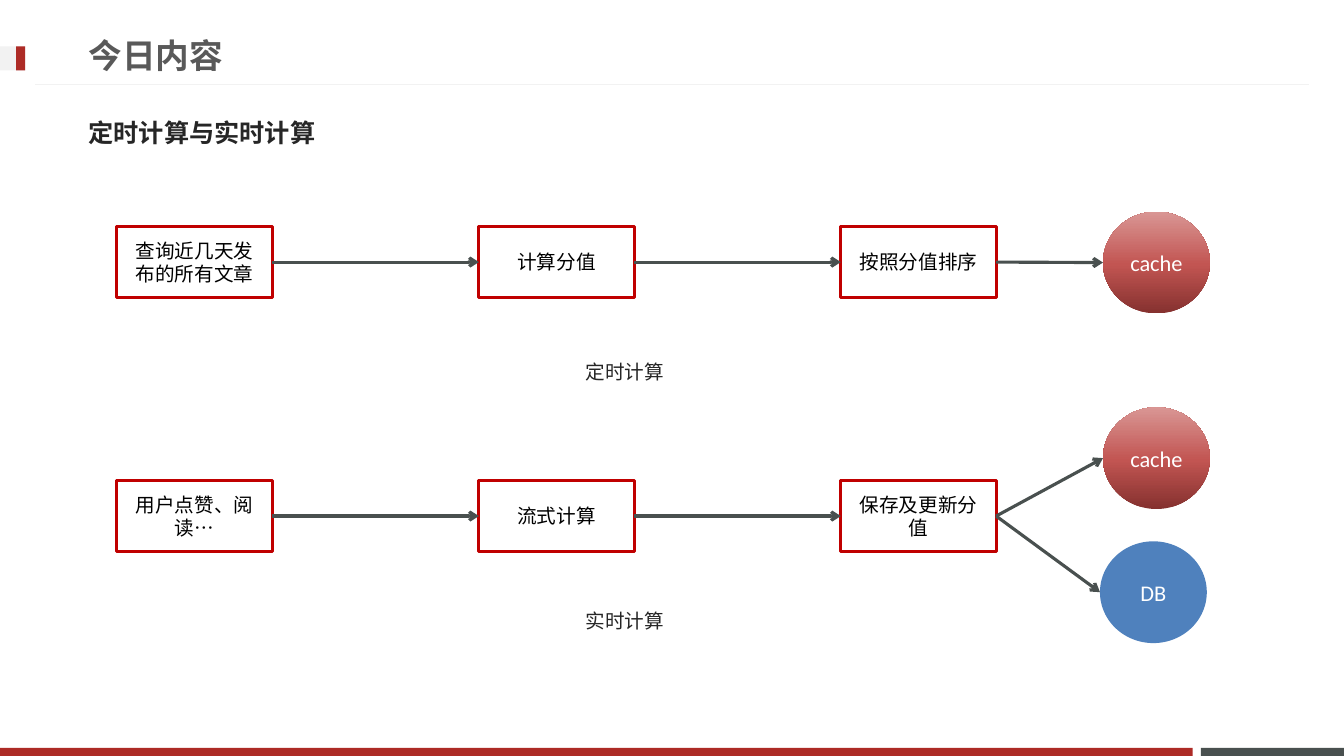
import pptx
import pptx.dml.color
import pptx.enum.shapes
import pptx.enum.text
import pptx.oxml
import pptx.oxml.ns
import pptx.util
from pptx.util import Inches

SHAPES = pptx.enum.shapes.MSO_SHAPE
ALIGN = pptx.enum.text.PP_ALIGN
ANCHOR = pptx.enum.text.MSO_ANCHOR
NAMESPACE = pptx.oxml.ns.nsdecls("a")
CJK_FONT = "Noto Sans CJK JP"
RED, GREY, PALE = "AD2B26", "49504F", "F2F2F2"
CACHE_STOPS = [(0, "85312F"), (48, "C25552"), (100, "D99694")]
STEP_LEFT, STEP_PITCH, STEP_WIDTH, STEP_HEIGHT = 1.16, 3.59, 1.54, 0.7
STORE_WIDTH, STORE_HEIGHT = 1.06, 1.01


def color(value):
    return pptx.dml.color.RGBColor.from_string(value)


def write_text(shape, text, size=14, font="Calibri", ink="000000", bold=False,
               align=ALIGN.LEFT, anchor=ANCHOR.MIDDLE, spacing=None, before=0):
    frame = shape.text_frame
    frame.word_wrap = True
    frame.auto_size = pptx.enum.text.MSO_AUTO_SIZE.NONE
    frame.vertical_anchor = anchor
    para = frame.paragraphs[0]
    para.alignment = align
    para.line_spacing = spacing
    para.space_before = pptx.util.Pt(before)
    span = para.add_run()
    span.text = text
    span.font.size = pptx.util.Pt(size)
    span.font.name = font
    span.font.bold = bold
    span.font.color.rgb = color(ink)
    east_asian = pptx.oxml.parse_xml(f'<a:ea {NAMESPACE} typeface="{CJK_FONT}"/>')
    span.font._element.find(pptx.oxml.ns.qn("a:latin")).addnext(east_asian)


def add_box(page, kind, left, top, width, height, fill=None, line=None):
    box = page.shapes.add_shape(kind, Inches(left), Inches(top), Inches(width), Inches(height))
    box.shadow.inherit = False
    if fill:
        box.fill.solid()
        box.fill.fore_color.rgb = color(fill)
    else:
        box.fill.background()
    if line:
        box.line.color.rgb = color(line)
        box.line.width = pptx.util.Pt(2)
    else:
        box.line.fill.background()
    return box


def add_line(page, start, end, ink, width):
    points = [Inches(value) for value in (*start, *end)]
    line = page.shapes.add_connector(pptx.enum.shapes.MSO_CONNECTOR.STRAIGHT, *points)
    line.line.color.rgb = color(ink)
    line.line.width = pptx.util.Pt(width)
    line._element.spPr.append(pptx.oxml.parse_xml(f"<a:effectLst {NAMESPACE}/>"))
    return line


def add_arrow(page, source, target):
    arrow = add_line(page, (0, 0), (1, 1), GREY, 2.25)
    arrow.line._get_or_add_ln().append(
        pptx.oxml.parse_xml(f'<a:tailEnd {NAMESPACE} type="arrow"/>'))
    arrow.begin_connect(source, 3)
    left_site = 2 if target.auto_shape_type == SHAPES.OVAL else 1
    arrow.end_connect(target, left_site)
    arrow.end_x = target.left
    arrow.end_y = target.top + target.height // 2


def add_steps(page, top, labels):
    steps = []
    for index, label in enumerate(labels):
        step = add_box(page, SHAPES.RECTANGLE, STEP_LEFT + index * STEP_PITCH, top,
                       STEP_WIDTH, STEP_HEIGHT, line="C00000")
        write_text(step, label, align=ALIGN.CENTER)
        steps.append(step)
    for source, target in zip(steps, steps[1:]):
        add_arrow(page, source, target)
    return steps[-1]


def add_store(page, left, top, label, fill="4F81BD", stops=None):
    store = add_box(page, SHAPES.OVAL, left, top, STORE_WIDTH, STORE_HEIGHT, fill=fill)
    if stops:
        marks = "".join(f'<a:gs pos="{place * 1000}"><a:srgbClr val="{value}"/></a:gs>'
                        for place, value in stops)
        gradient = pptx.oxml.parse_xml(
            f'<a:gradFill {NAMESPACE} rotWithShape="1"><a:gsLst>{marks}</a:gsLst>'
            '<a:lin ang="16200000" scaled="0"/></a:gradFill>')
        properties = store._element.spPr
        properties.replace(properties.find(pptx.oxml.ns.qn("a:solidFill")), gradient)
    write_text(store, label, size=16, ink="FFFFFF", align=ALIGN.CENTER)
    return store


def add_label(page, left, top, width, height, text, **style):
    label = page.shapes.add_textbox(Inches(left), Inches(top), Inches(width), Inches(height))
    write_text(label, text, font=CJK_FONT, ink="262626", **style)


def add_caption(page, top, text):
    add_label(page, 5.71, top, 1.17, 0.47, text, anchor=ANCHOR.TOP, spacing=1.5, before=2.8)


def add_frame(page):
    for left, top, width, height, fill in [
        (11.91, 7.42, 1.42, 0.08, GREY),
        (0, 7.42, 11.83, 0.08, RED),
        (0, 0.46, 0.25, 0.24, PALE),
        (0.16, 0.46, 0.09, 0.24, RED),
    ]:
        add_box(page, SHAPES.RECTANGLE, left, top, width, height, fill=fill)
    add_line(page, (0.35, 0.84), (12.98, 0.84), PALE, 0.75)


def add_title(page, text):
    title = page.shapes.title
    title.left, title.top = Inches(0.78), Inches(0.26)
    title.width, title.height = Inches(9.59), Inches(0.57)
    write_text(title, text, size=24, ink="595959", bold=True)


def main():
    deck = pptx.Presentation()
    deck.slide_width, deck.slide_height = Inches(13.33), Inches(7.5)
    page = deck.slides.add_slide(deck.slide_layouts.get_by_name("Title Only"))
    add_frame(page)
    add_title(page, "今日内容")
    add_label(page, 0.78, 1.03, 11.7, 0.57, "定时计算与实时计算", size=18, bold=True, before=3.6)

    sorting = add_steps(page, 2.25, ["查询近几天发布的所有文章", "计算分值", "按照分值排序"])
    add_arrow(page, sorting, add_store(page, 10.94, 2.1, "cache", stops=CACHE_STOPS))
    add_caption(page, 3.41, "定时计算")

    saving = add_steps(page, 4.77, ["用户点赞、阅读…", "流式计算", "保存及更新分值"])
    add_arrow(page, saving, add_store(page, 10.91, 5.37, "DB"))
    add_arrow(page, saving, add_store(page, 10.94, 4.04, "cache", stops=CACHE_STOPS))
    add_caption(page, 5.88, "实时计算")

    deck.save("out.pptx")


main()
